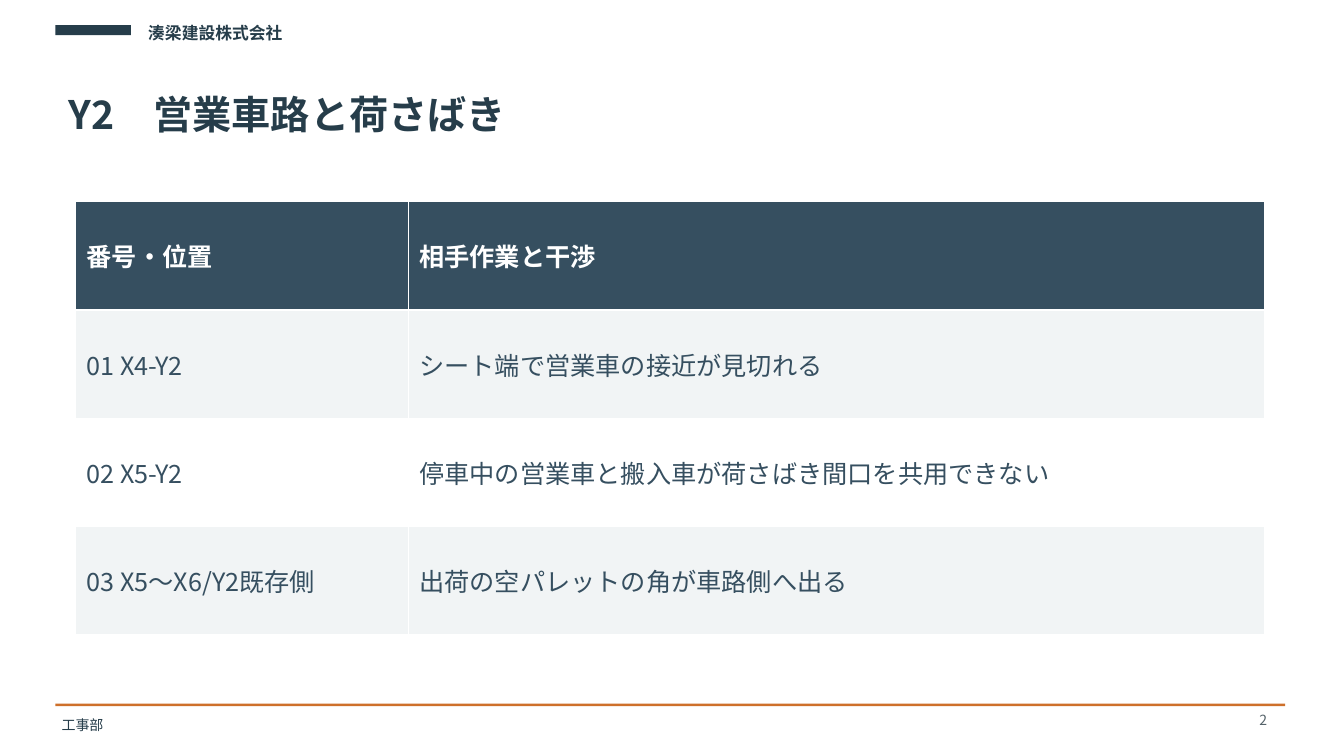
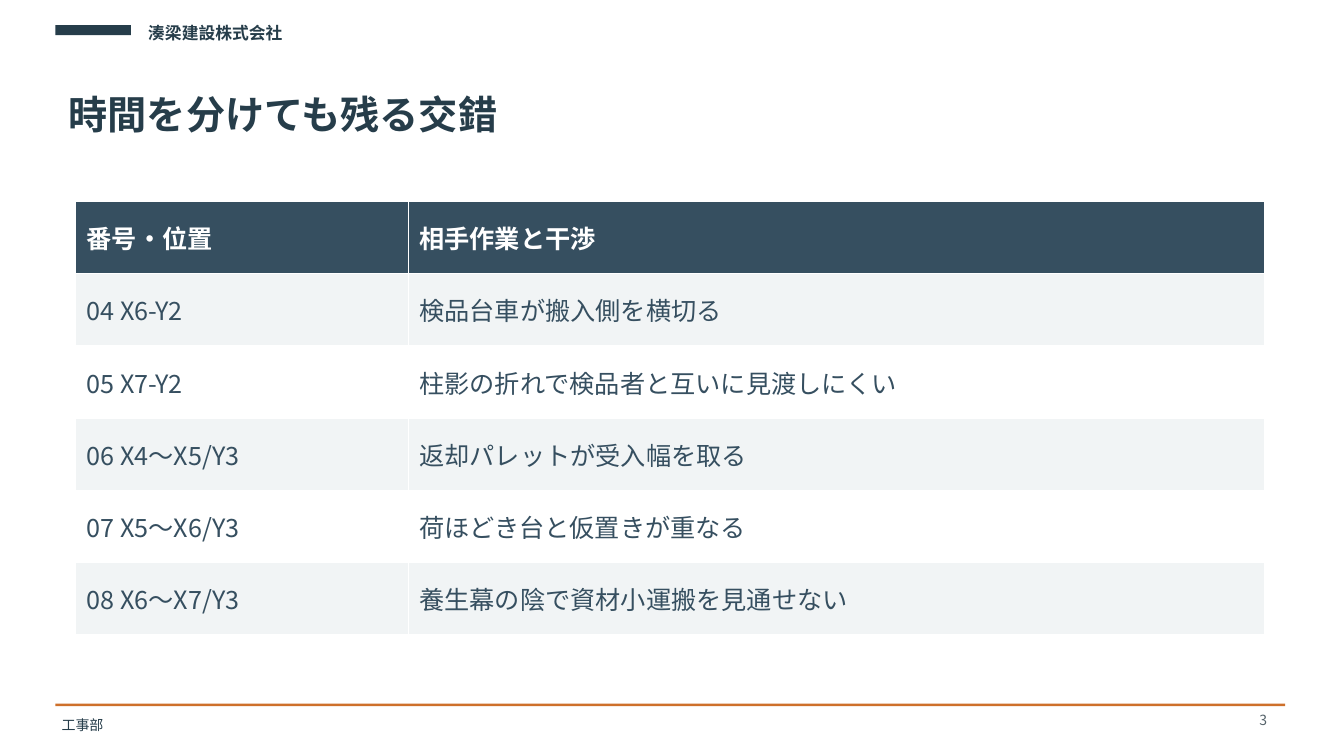
import dataclasses

import lxml.etree
import pptx
import pptx.dml.color
import pptx.enum.shapes
import pptx.enum.text
import pptx.oxml.ns
import pptx.util

FONT = "Noto Sans CJK JP"
INK = "263D4A"
ACCENT = "CE702B"
SLATE = "364F60"
PALE = "F1F4F5"
WHITE = "FFFFFF"
GREY = "55636A"

TABLE_HEIGHT = 309.6
COLUMN_WIDTHS = (237.6, 612)
TABLE_HEADER = ("番号・位置", "相手作業と干渉")
FIRST_NUMBER = 2


@dataclasses.dataclass(frozen=True)
class Box:
    left: float
    top: float
    width: float
    height: float

    def lengths(self) -> list:
        return [pptx.util.Pt(value) for value in dataclasses.astuple(self)]


@dataclasses.dataclass(frozen=True)
class TextStyle:
    size: float
    color: str
    bold: bool = False
    align: pptx.enum.text.PP_ALIGN = pptx.enum.text.PP_ALIGN.LEFT


@dataclasses.dataclass(frozen=True)
class Label:
    box: Box
    style: TextStyle
    inset: float = 3.6


@dataclasses.dataclass(frozen=True)
class Page:
    title: str
    rows: tuple


BARS = (
    (Box(39.6, 18, 54, 7.2), INK),
    (Box(39.6, 502.6, 878.4, 1.8), ACCENT),
)
COMPANY = Label(Box(103.7, 13, 288, 36), TextStyle(12, INK, bold=True))
DEPARTMENT = Label(Box(41.8, 508.3, 648, 21.6), TextStyle(10, INK))
TITLE = Label(Box(46.8, 61.2, 864, 57.6), TextStyle(28, INK, bold=True))
NUMBER = Label(
    Box(874.8, 506.9, 32.4, 18),
    TextStyle(10, GREY, align=pptx.enum.text.PP_ALIGN.RIGHT),
    inset=1,
)
TABLE_BOX = Box(54, 144, sum(COLUMN_WIDTHS), TABLE_HEIGHT)
HEADER_STYLE = TextStyle(18, WHITE, bold=True)
BODY_STYLE = TextStyle(18, SLATE)

PAGES = (
    Page(
        "Y2　営業車路と荷さばき",
        (
            ("01 X4-Y2", "シート端で営業車の接近が見切れる"),
            ("02 X5-Y2", "停車中の営業車と搬入車が荷さばき間口を共用できない"),
            ("03 X5〜X6/Y2既存側", "出荷の空パレットの角が車路側へ出る"),
        ),
    ),
    Page(
        "時間を分けても残る交錯",
        (
            ("04 X6-Y2", "検品台車が搬入側を横切る"),
            ("05 X7-Y2", "柱影の折れで検品者と互いに見渡しにくい"),
            ("06 X4〜X5/Y3", "返却パレットが受入幅を取る"),
            ("07 X5〜X6/Y3", "荷ほどき台と仮置きが重なる"),
            ("08 X6〜X7/Y3", "養生幕の陰で資材小運搬を見通せない"),
        ),
    ),
)


def set_color(color_format, value: str) -> None:
    color_format.rgb = pptx.dml.color.RGBColor.from_string(value)


def set_fill(target, value: str) -> None:
    target.fill.solid()
    set_color(target.fill.fore_color, value)


def write_text(text_frame, text: str, style: TextStyle) -> None:
    text_frame.text = text
    for paragraph in text_frame.paragraphs:
        paragraph.alignment = style.align
        for run in paragraph.runs:
            run.font.name = FONT
            run.font.size = pptx.util.Pt(style.size)
            run.font.bold = style.bold
            set_color(run.font.color, style.color)
            properties = run.font._element
            lxml.etree.SubElement(properties, pptx.oxml.ns.qn("a:ea"), typeface=FONT)


def add_label(slide, label: Label, text: str) -> None:
    shape = slide.shapes.add_textbox(*label.box.lengths())
    text_frame = shape.text_frame
    text_frame.word_wrap = True
    text_frame.margin_left = text_frame.margin_right = pptx.util.Pt(2.2)
    text_frame.margin_top = text_frame.margin_bottom = pptx.util.Pt(label.inset)
    write_text(text_frame, text, label.style)


def add_bar(slide, box: Box, color: str) -> None:
    shape = slide.shapes.add_shape(
        pptx.enum.shapes.MSO_SHAPE.RECTANGLE, *box.lengths()
    )
    shape.shadow.inherit = False
    set_fill(shape, color)
    shape.line.fill.background()


def add_frame(slide, number: int) -> None:
    set_fill(slide.background, WHITE)
    for box, color in BARS:
        add_bar(slide, box, color)
    add_label(slide, COMPANY, "湊梁建設株式会社")
    add_label(slide, DEPARTMENT, "工事部")
    add_label(slide, NUMBER, str(number))


def add_conflict_table(slide, rows: tuple) -> None:
    lines = (TABLE_HEADER, *rows)
    table = slide.shapes.add_table(
        len(lines), len(COLUMN_WIDTHS), *TABLE_BOX.lengths()
    ).table
    for column, width in zip(table.columns, COLUMN_WIDTHS):
        column.width = pptx.util.Pt(width)
    for row_index, line in enumerate(lines):
        table.rows[row_index].height = pptx.util.Pt(TABLE_HEIGHT / len(lines))
        is_header = row_index == 0
        style = HEADER_STYLE if is_header else BODY_STYLE
        fill = SLATE if is_header else (WHITE, PALE)[row_index % 2]
        for column_index, text in enumerate(line):
            cell = table.cell(row_index, column_index)
            cell.vertical_anchor = pptx.enum.text.MSO_ANCHOR.MIDDLE
            cell.margin_left = pptx.util.Pt(7.9)
            cell.margin_right = pptx.util.Pt(5.8)
            set_fill(cell, fill)
            write_text(cell.text_frame, text, style)


def main() -> None:
    presentation = pptx.Presentation()
    presentation.slide_width = pptx.util.Pt(960)
    presentation.slide_height = pptx.util.Pt(540)
    blank_layout = presentation.slide_layouts[6]
    for number, page in enumerate(PAGES, start=FIRST_NUMBER):
        slide = presentation.slides.add_slide(blank_layout)
        add_frame(slide, number)
        add_label(slide, TITLE, page.title)
        add_conflict_table(slide, page.rows)
    presentation.save("out.pptx")


if __name__ == "__main__":
    main()
